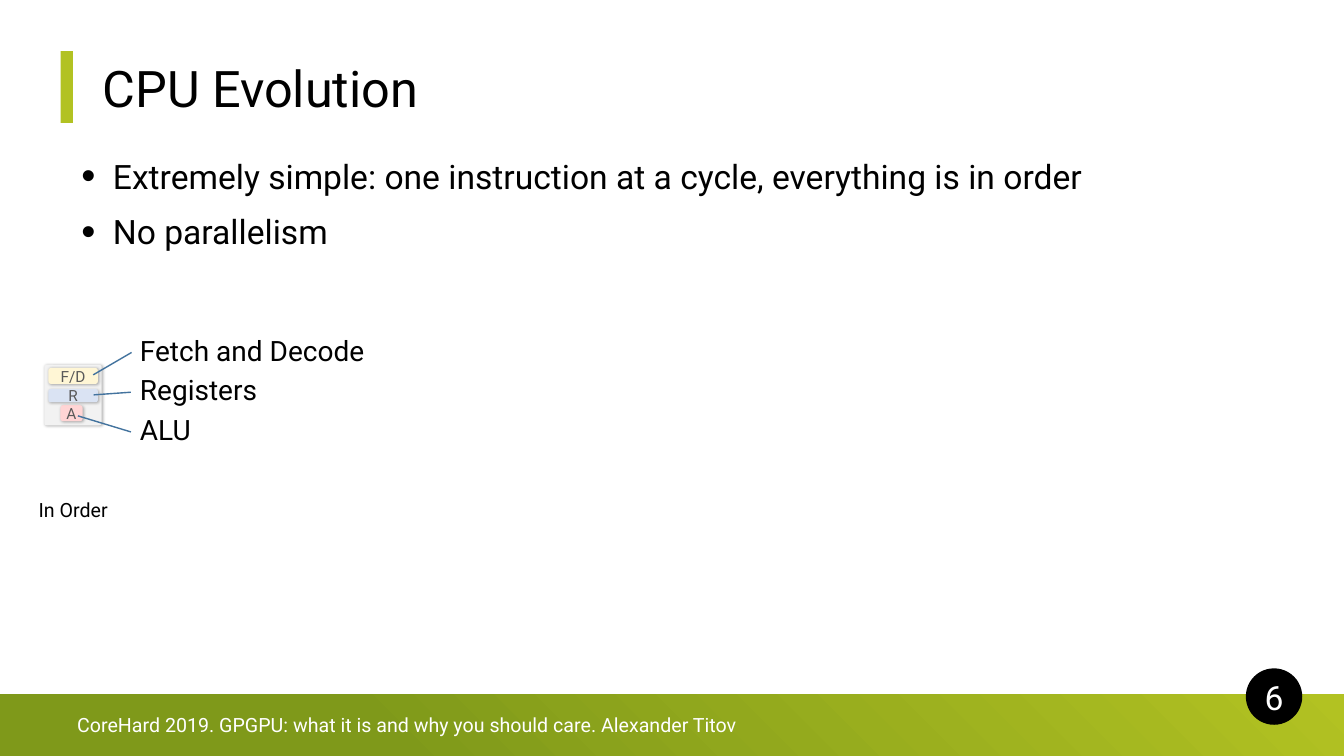
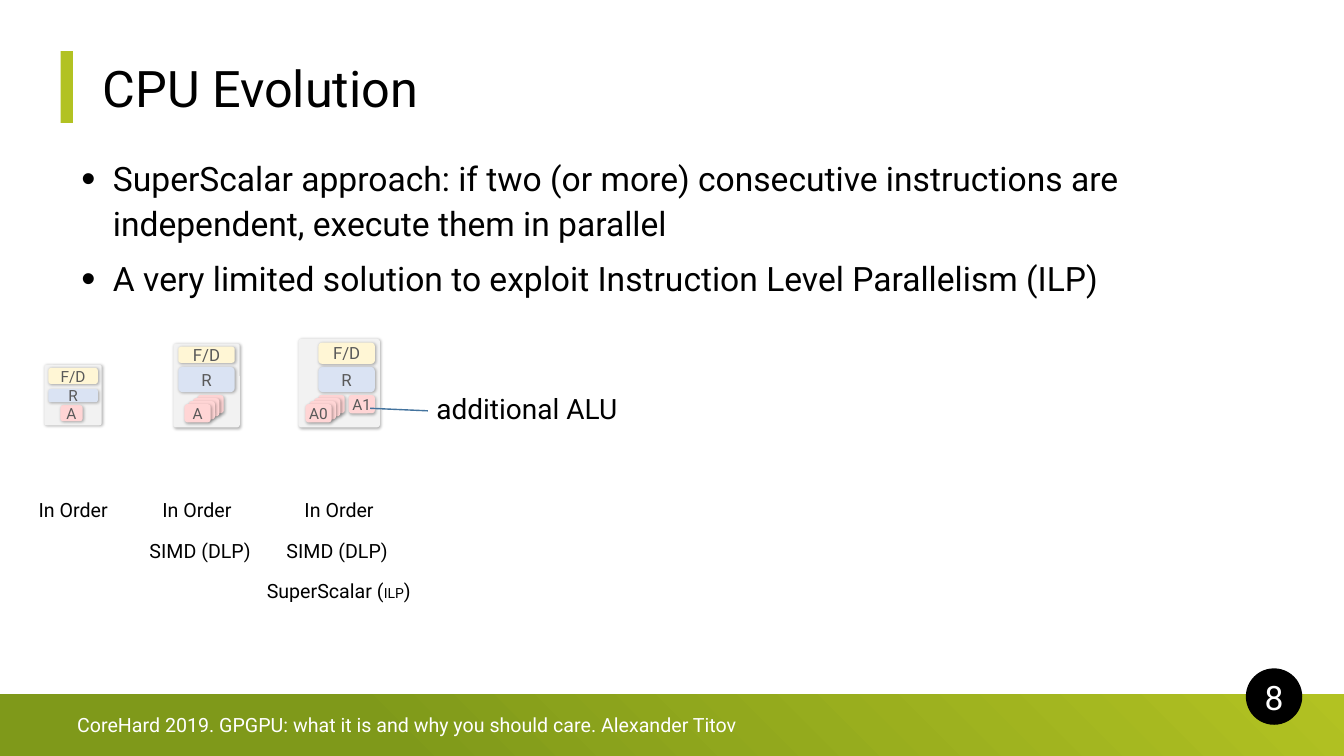
"""Builds two slides on the evolution of CPU cores."""
from dataclasses import dataclass

from lxml.etree import SubElement
from pptx import Presentation
from pptx.dml.color import RGBColor as RGB
from pptx.enum.shapes import MSO_SHAPE as SHAPE
from pptx.enum.text import MSO_ANCHOR as ANCHOR, PP_ALIGN as ALIGN
from pptx.oxml.ns import qn
from pptx.util import Pt


@dataclass(frozen=True)
class Theme:
    font: str = "Roboto"
    black: str = "000000"
    white: str = "FFFFFF"
    lime: str = "B2C222"
    olive: str = "7F991A"
    die: str = "F2F2F2"
    alu: str = "FFD5D5"
    registers: str = "DAE3F3"
    fetch: str = "FFF6D5"
    part_text: str = "595959"
    pointer: str = "43739E"
    title: int = 36
    body: int = 24
    callout: int = 20
    label: int = 14
    small: int = 10


T = Theme()


def add_box(shapes, kind, box, fill=None, shadow=False):
    sp = shapes.add_shape(kind, *[Pt(v) for v in box])
    sp.shadow.inherit = False
    sp.line.fill.background()
    if fill:
        sp.fill.solid()
        sp.fill.fore_color.rgb = RGB.from_string(fill)
    else:
        sp.fill.background()
    if shadow:
        effects = sp._element.spPr.find(qn("a:effectLst"))
        outer = SubElement(effects, qn("a:outerShdw"), blurRad=str(Pt(2)), dist=str(Pt(1)),
                           dir="2700000", algn="tl", rotWithShape="0")
        color = SubElement(outer, qn("a:srgbClr"), val=T.black)
        SubElement(color, qn("a:alpha"), val="30000")
    return sp


def add_text(sp, paragraphs, size, color=T.black, align=ALIGN.LEFT, anchor=ANCHOR.MIDDLE,
             spacing=1.0, wrap=True, inset=None, bullets=False):
    tf = sp.text_frame
    tf.word_wrap, tf.vertical_anchor = wrap, anchor
    if inset is not None:
        tf.margin_left = tf.margin_right = tf.margin_top = tf.margin_bottom = Pt(inset)
    for i, runs in enumerate(paragraphs):
        p = tf.add_paragraph() if i else tf.paragraphs[0]
        p.alignment, p.line_spacing = align, spacing
        if i:
            p.space_before = Pt(8)
        if bullets:
            pPr = p._p.get_or_add_pPr()
            pPr.set("marL", str(Pt(22.5)))
            pPr.set("indent", str(-Pt(22.5)))
            SubElement(pPr, qn("a:buSzPct"), val="120000")
            SubElement(pPr, qn("a:buFont"), typeface="Arial")
            SubElement(pPr, qn("a:buChar"), char="•")
        for text, run_size in runs:
            r = p.add_run()
            r.text = text
            r.font.name, r.font.size = T.font, Pt(run_size or size)
            r.font.color.rgb = RGB.from_string(color)


def_lane = (18.7, 13)
lane_offsets = [(-3.1 * i, 2.16 * i) for i in range(4)]
simd_lanes, scalar_lanes = [
    [(label if i == 3 else "", T.alu, 11, (x + dx, 282.2 + dy, *def_lane))
     for i, (dx, dy) in enumerate(lane_offsets)]
    for label, x in (("A", 141.1), ("A0", 227.5))
]

cores = [
    ((31.7, 260.6, 41, 43.2), [
        ("A", T.alu, 11, (43.2, 289.4, 15.8, 11.5)),
        ("R", T.registers, 11, (34.6, 277.9, 35.3, 9.4)),
        ("F/D", T.fetch, 11, (34.6, 262.8, 35.3, 11.5)),
    ]),
    ((123.8, 245.5, 47.5, 59.8), simd_lanes + [
        ("R", T.registers, 12, (127.4, 262.1, 40.3, 18)),
        ("F/D", T.fetch, 12, (127.4, 247.7, 40.3, 11.5)),
    ]),
    ((213.1, 241.9, 58.3, 63.4), scalar_lanes + [
        ("R", T.registers, 12, (227.5, 262.1, 40.3, 18)),
        ("F/D", T.fetch, 12, (227.5, 244.8, 40.3, 15.1)),
        ("A1", T.alu, 11, (249.1, 282.2, *def_lane)),
    ]),
]

in_order, simd = [("In Order", None)], [("SIMD (DLP)", None)]
superscalar = [("SuperScalar (", None), ("ILP", T.small), (")", None)]
core_labels = [
    [(in_order, 20.2, 64.1)],
    [(in_order, 108.7, 64.1), (simd, 99.4, 87.1)],
    [(in_order, 210.2, 64.1), (simd, 197.3, 87.1), (superscalar, 182.2, 119.5)],
]

slides = [
    ("6", 1, (51.1, 104.4, 856.8, 79.2),
     ["Extremely simple: one instruction at a cycle, everything is in order",
      "No parallelism"],
     [("Fetch and Decode", (92.9, 236.2, 189.4, 27.4), (1.152, -0.139)),
      ("Registers", (92.9, 264.6, 104.4, 27.4), (0.636, -0.249)),
      ("ALU", (92.9, 293, 104.4, 27.4), (0.148, -0.357))]),
    ("8", 3, (51.1, 105.8, 856.8, 111.6),
     ["SuperScalar approach: if two (or more) consecutive instructions are independent, "
      "execute them in parallel",
      "A very limited solution to exploit Instruction Level Parallelism (ILP)"],
     [("additional ALU", (304.6, 277.9, 167.8, 27.4), (0.501, -0.24))]),
]

prs = Presentation()
prs.slide_width, prs.slide_height = Pt(960), Pt(540)

for number, core_count, body_box, bullets, callouts in slides:
    s = prs.slides.add_slide(prs.slide_layouts[6])

    band = add_box(s.shapes, SHAPE.RECTANGLE, (0, 496, 960, 44))
    band.fill.gradient()
    band.fill.gradient_angle = 45
    for stop, color, position in zip(band.fill.gradient_stops, (T.olive, T.lime), (0.28, 1)):
        stop.color.rgb = RGB.from_string(color)
        stop.position = position
    add_box(s.shapes, SHAPE.RECTANGLE, (43.4, 36.5, 8.8, 51.3), T.lime)
    badge = add_box(s.shapes, SHAPE.OVAL, (889.9, 477.4, 40.3, 40.3), T.black)
    add_text(badge, [[(number, None)]], T.body, T.white, ALIGN.CENTER, inset=0)
    footer = s.shapes.add_textbox(Pt(48), Pt(500.4), Pt(792), Pt(34.6))
    add_text(footer, [[("CoreHard 2019. GPGPU: what it is and why you should care. "
                        "Alexander Titov", None)]], T.label, T.white)
    title = s.shapes.add_textbox(Pt(66.2), Pt(0), Pt(828), Pt(87.8))
    add_text(title, [[("CPU Evolution", None)]], T.title, anchor=ANCHOR.BOTTOM, spacing=0.9)

    body = s.shapes.add_textbox(*[Pt(v) for v in body_box])
    add_text(body, [[(text, None)] for text in bullets], T.body, spacing=1.1, bullets=True)

    for (die_box, parts), labels in zip(cores[:core_count], core_labels):
        core = s.shapes.add_group_shape()
        die = add_box(core.shapes, SHAPE.ROUNDED_RECTANGLE, die_box, T.die, shadow=True)
        die.adjustments[0] = 0.04
        for text, fill, size, box in parts:
            part = add_box(core.shapes, SHAPE.ROUNDED_RECTANGLE, box, fill, shadow=True)
            part.adjustments[0] = 0.17
            if text:
                add_text(part, [[(text, None)]], size, T.part_text, ALIGN.CENTER, inset=0)
        for row, (runs, x, width) in enumerate(labels):
            label = s.shapes.add_textbox(Pt(x), Pt(354.2 + 28.8 * row), Pt(width), Pt(22.3))
            add_text(label, [runs], T.label, align=ALIGN.CENTER, spacing=0.9, wrap=False)

    for text, box, target in callouts:
        callout = add_box(s.shapes, SHAPE.LINE_CALLOUT_1_NO_BORDER, box)
        callout.line.color.rgb = RGB.from_string(T.pointer)
        callout.line.width = Pt(1)
        for i, value in enumerate((0.567, 0.006, *target)):
            callout.adjustments[i] = value
        add_text(callout, [[(text, None)]], T.callout)

prs.save("out.pptx")
